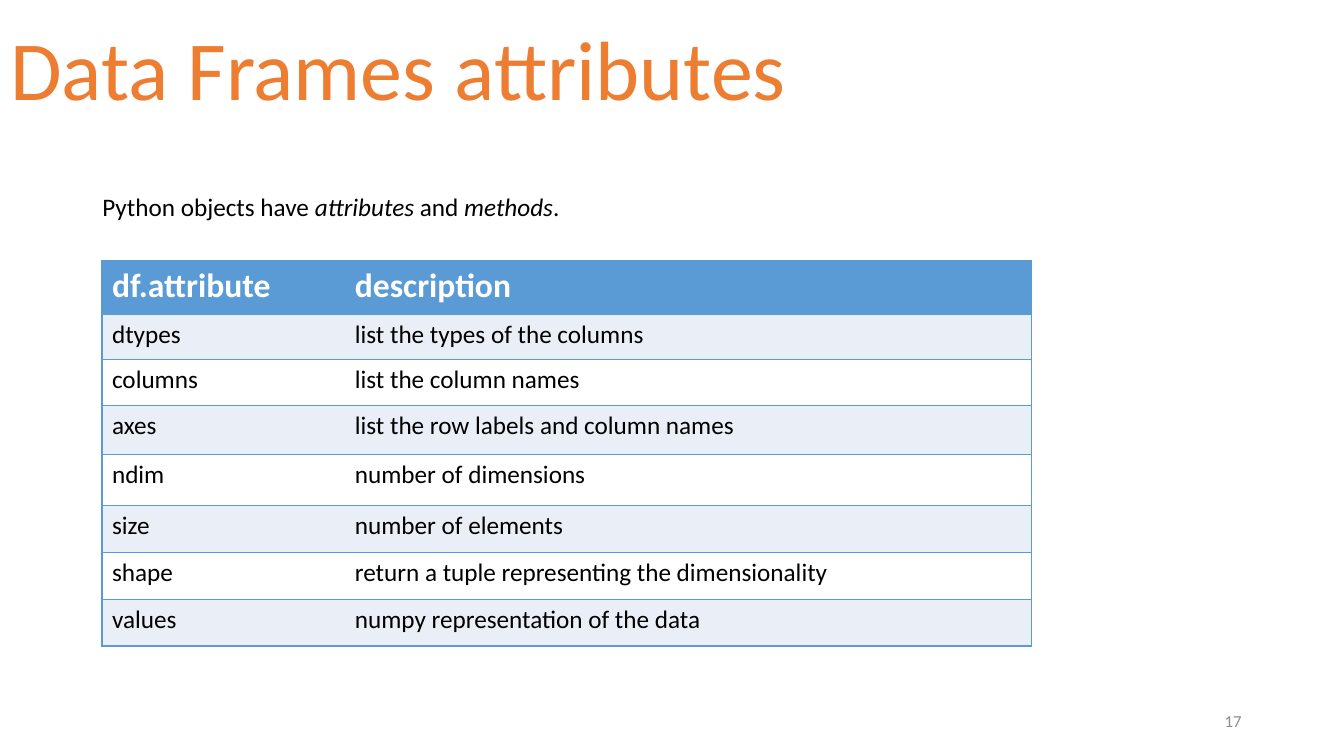
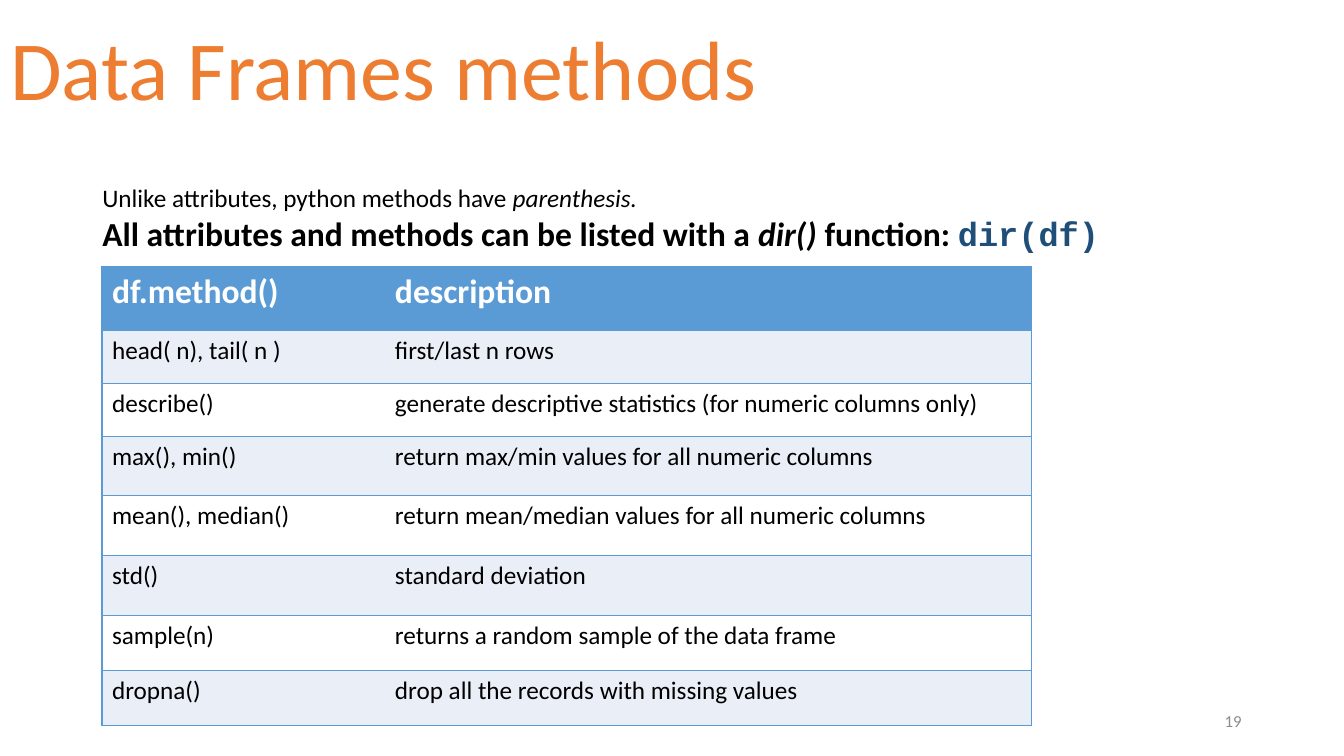
from lxml import etree
from pptx import Presentation
from pptx.dml.color import RGBColor
from pptx.enum.text import MSO_ANCHOR, MSO_AUTO_SIZE, PP_ALIGN
from pptx.oxml.ns import qn
from pptx.util import Cm, Pt

MIDDLE, TOP = MSO_ANCHOR.MIDDLE, MSO_ANCHOR.TOP
LEFT, RIGHT = PP_ALIGN.LEFT, PP_ALIGN.RIGHT
NO_AUTOFIT = MSO_AUTO_SIZE.NONE
TITLE_ONLY = 5

# Shared colours and text formats
ORANGE, BLUE, PALE, WHITE = "ED7D31", "5B9BD5", "EAEFF7", "FFFFFF"
BLACK, GREY, NAVY = "000000", "8C8C8C", "1F4E79"
BASE = {"name": "Calibri", "size": Pt(18), "bold": False, "italic": False, "color": BLACK}
ITALIC = {"italic": True}
TITLE = {"size": Pt(60), "color": ORANGE}
NUMBER = {"size": Pt(12), "color": GREY}
HEADER = {"size": Pt(24), "bold": True, "color": WHITE}
STRONG = {"size": Pt(24), "bold": True}
CODE = {**STRONG, "name": "Courier New", "color": NAVY}

# Shared table geometry
TABLE_LEFT, TABLE_WIDTH = 2.57, 23.42
BORDER_WIDTH = Pt(1)

ATTRIBUTES = [
    ("df.attribute", "description"),
    ("dtypes", "list the types of the columns"),
    ("columns", "list the column names"),
    ("axes", "list the row labels and column names"),
    ("ndim", "number of dimensions"),
    ("size", "number of elements"),
    ("shape", "return a tuple representing the dimensionality"),
    ("values", "numpy representation of the data"),
]
METHODS = [
    ("df.method()", "description"),
    ("head( n), tail( n )", "first/last n rows"),
    ("describe()", "generate descriptive statistics (for numeric columns only)"),
    ("max(), min()", "return max/min values for all numeric columns"),
    ("mean(), median()", "return mean/median values for all numeric columns"),
    ("std()", "standard deviation"),
    ("sample(n)", "returns a random sample of the data frame"),
    ("dropna()", "drop all the records with missing values"),
]


def rgb(value):
    return RGBColor.from_string(value)


def add_run(paragraph, text, style):
    run = paragraph.add_run()
    run.text = text
    for key, value in {**BASE, **style}.items():
        if key == "color":
            run.font.color.rgb = rgb(value)
        else:
            setattr(run.font, key, value)


def write_lines(text_frame, lines, anchor=TOP, alignment=LEFT):
    """Write lines, each a list of (text, style) runs."""
    settings = {"word_wrap": True, "auto_size": NO_AUTOFIT, "vertical_anchor": anchor}
    for key, value in settings.items():
        setattr(text_frame, key, value)
    for index, runs in enumerate(lines):
        paragraph = text_frame.add_paragraph() if index else text_frame.paragraphs[0]
        paragraph.alignment = alignment
        for text, style in runs:
            add_run(paragraph, text, style)


def add_text(slide, box, lines, **layout):
    shape = slide.shapes.add_textbox(*(Cm(value) for value in box))
    write_lines(shape.text_frame, lines, **layout)


def add_titled_slide(presentation, title, number):
    slide = presentation.slides.add_slide(presentation.slide_layouts[TITLE_ONLY])
    shape = slide.shapes.title
    shape.left, shape.top, shape.width, shape.height = Cm(0), Cm(0), Cm(29.21), Cm(3.68)
    write_lines(shape.text_frame, [[(title, TITLE)]], anchor=MIDDLE)
    shape.text_frame.paragraphs[0].line_spacing = 0.9
    add_text(slide, (23.92, 17.65, 7.62, 1.01), [[(number, NUMBER)]],
             anchor=MIDDLE, alignment=RIGHT)
    return slide


def set_borders(cell, visible):
    """Draw the named edges (L, R, T, B) and clear the others."""
    properties = cell._tc.get_or_add_tcPr()
    for edge in "LRTB":
        line = etree.SubElement(properties, qn(f"a:ln{edge}"), w=str(BORDER_WIDTH))
        if edge in visible:
            fill = etree.SubElement(line, qn("a:solidFill"))
            etree.SubElement(fill, qn("a:srgbClr"), val=BLUE)
        else:
            etree.SubElement(line, qn("a:noFill"))


def add_table(slide, top, first_width, row_heights, rows):
    frame = slide.shapes.add_table(len(rows), 2, Cm(TABLE_LEFT), Cm(top),
                                   Cm(TABLE_WIDTH), Cm(sum(row_heights)))
    table = frame.table
    table.first_row = table.horz_banding = False
    for column, width in zip(table.columns, (first_width, TABLE_WIDTH - first_width)):
        column.width = Cm(width)
    for row_index, (texts, height) in enumerate(zip(rows, row_heights)):
        table.rows[row_index].height = Cm(height)
        band = PALE if row_index % 2 else WHITE
        fill, style = (band, {}) if row_index else (BLUE, HEADER)
        for column_index, text in enumerate(texts):
            cell = table.cell(row_index, column_index)
            set_borders(cell, "RTB" if column_index else "LTB")
            cell.fill.solid()
            cell.fill.fore_color.rgb = rgb(fill)
            add_run(cell.text_frame.paragraphs[0], text, style)


def main():
    presentation = Presentation()
    presentation.slide_width, presentation.slide_height = Cm(33.87), Cm(19.05)

    # Attributes
    slide = add_titled_slide(presentation, "Data Frames attributes", "17")
    add_text(slide, (2.33, 4.7, 20.8, 1.02), [[
        ("Python objects have ", {}), ("attributes", ITALIC), (" and ", {}),
        ("methods", ITALIC), (".", {}),
    ]])
    add_table(slide, 6.56, 6.12, (1.37, 1.14, 1.14, 1.25, 1.28, 1.18, 1.18, 1.18), ATTRIBUTES)

    # Methods
    slide = add_titled_slide(presentation, "Data Frames methods", "19")
    add_table(slide, 6.71, 7.13, (1.61, 1.34, 1.34, 1.48, 1.51, 1.51, 1.4, 1.39), METHODS)
    add_text(slide, (2.33, 4.47, 27.36, 2.06), [
        [("Unlike attributes, python methods have ", {}), ("parenthesis.", ITALIC)],
        [("All attributes and methods can be listed with a ", STRONG),
         ("dir() ", {**STRONG, **ITALIC}), ("function: ", STRONG), ("dir(df)", CODE)],
    ])

    presentation.save("out.pptx")


if __name__ == "__main__":
    main()
